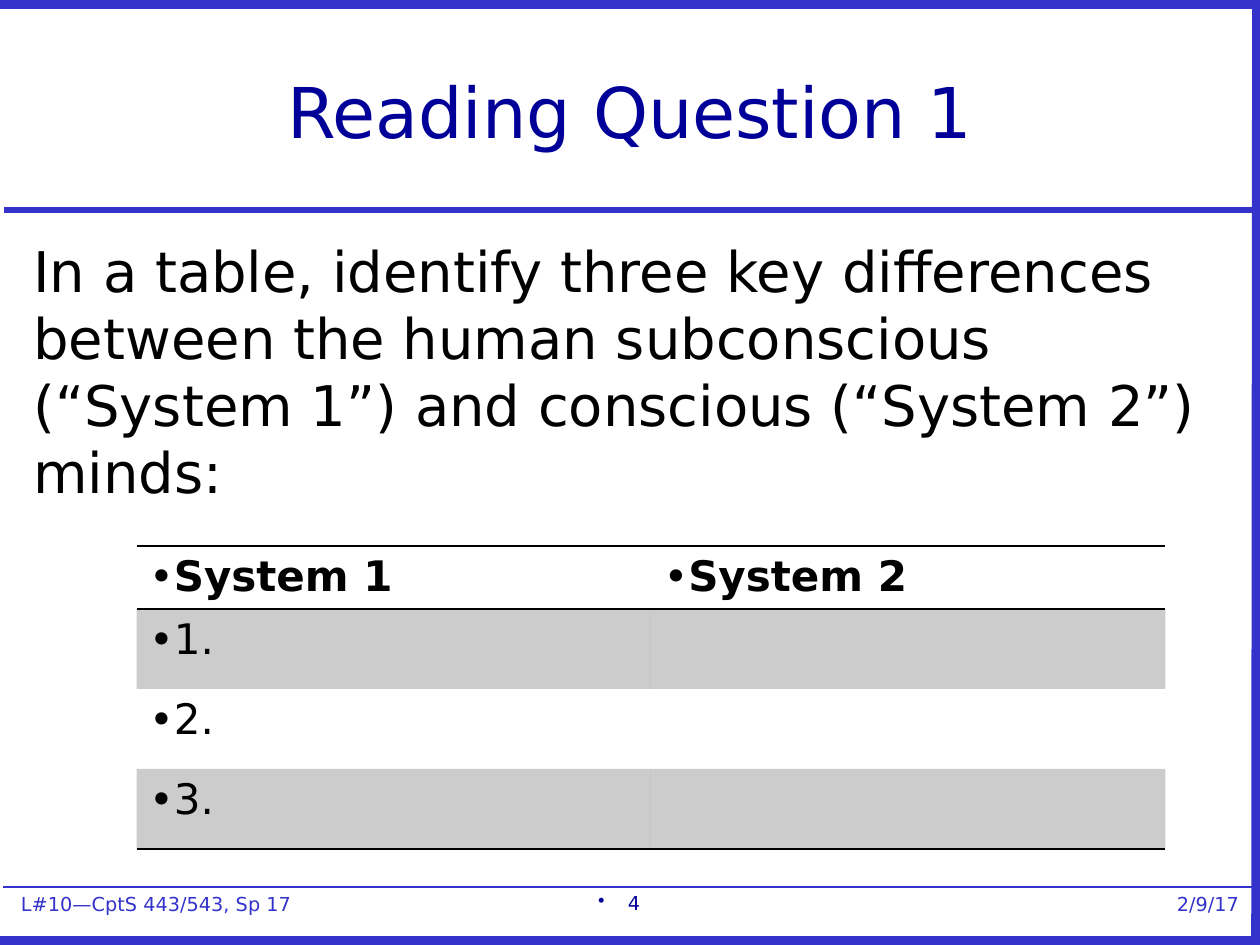
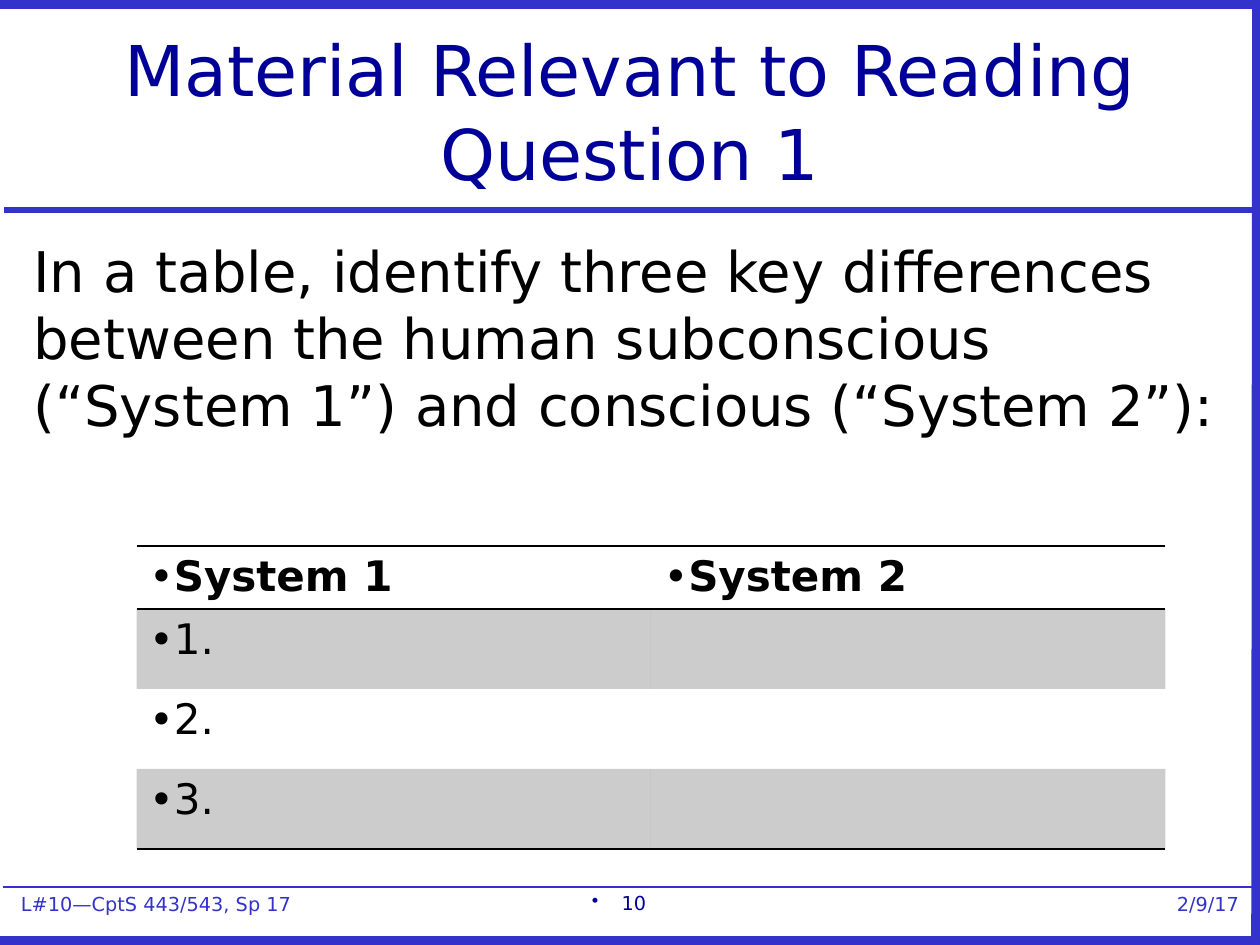
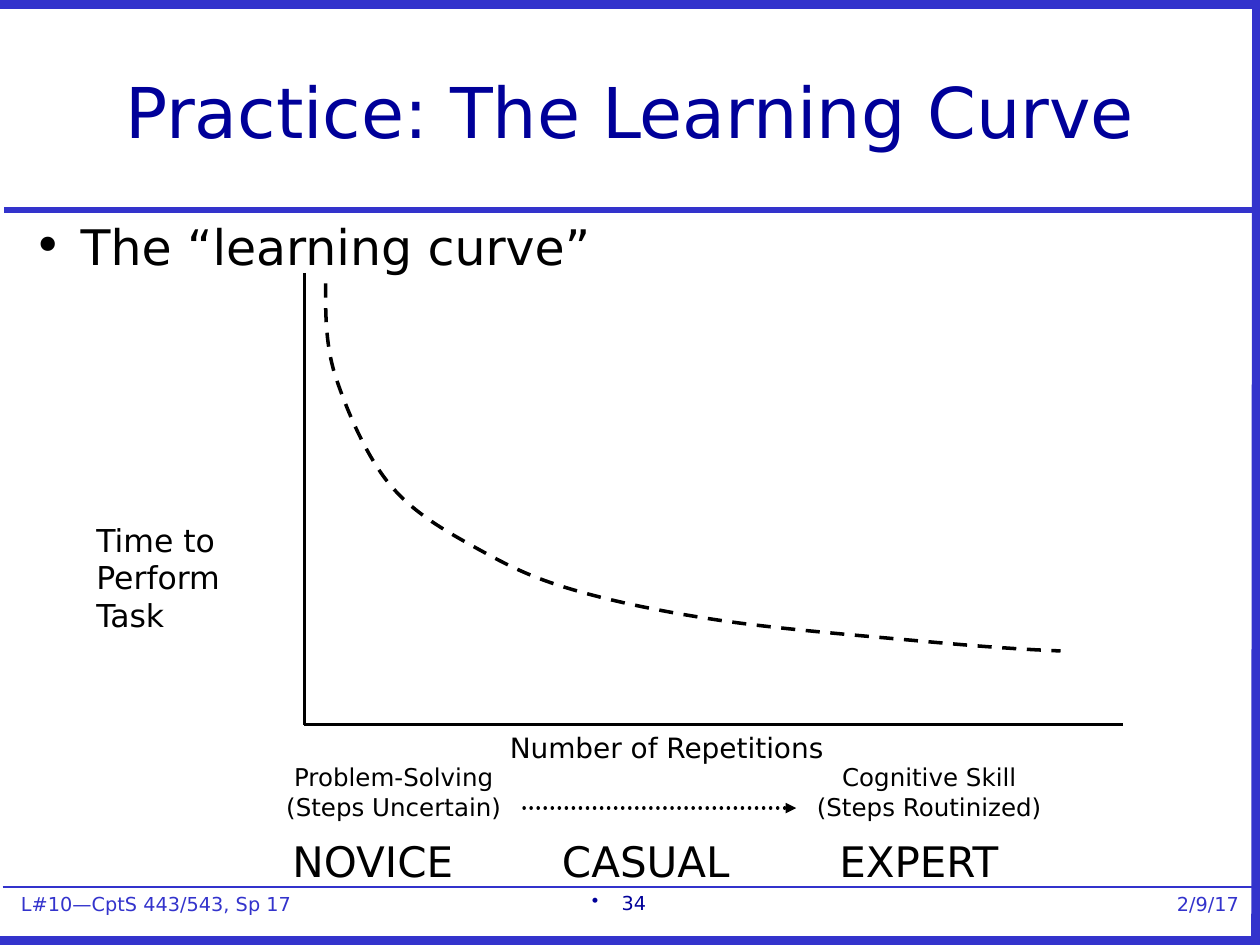
from dataclasses import dataclass

from lxml.etree import SubElement
from pptx import Presentation
from pptx.dml.color import RGBColor
from pptx.enum.dml import MSO_LINE
from pptx.enum.shapes import MSO_CONNECTOR, MSO_SHAPE
from pptx.enum.text import MSO_ANCHOR, MSO_AUTO_SIZE, PP_ALIGN
from pptx.oxml.ns import qn
from pptx.util import Pt

NO_TABLE_STYLE = "{2D5ABB26-0587-4C30-8999-92F81FD0307C}"


@dataclass(frozen=True)
class Theme:
    font: str = "DejaVu Sans"
    title: str = "000099"
    accent: str = "3333CC"
    ink: str = "000000"
    paper: str = "FFFFFF"
    band_alpha: int = 20
    title_size: int = 40
    question_size: int = 32
    bullet_size: int = 28
    large_size: int = 24
    axis_size: int = 18
    caption_size: int = 16
    note_size: int = 14
    footer_size: int = 11


def rgb(color):
    return RGBColor.from_string(color)


def points(*values):
    return [Pt(v) for v in values]


class Deck:
    def __init__(self, theme):
        self.theme = theme
        self.prs = Presentation()
        self.prs.slide_width, self.prs.slide_height = points(720, 540)
        self.layout = self.prs.slide_layouts[5]
        self.s = None

    def add_slide(self, title, number):
        t = self.theme
        first = self.s is None
        self.s = self.prs.slides.add_slide(self.layout)
        if first:
            self.add_frame()
        sp = self.s.shapes.title
        sp.left, sp.top, sp.width, sp.height = points(12, 12, 696, 102)
        tf = sp.text_frame
        tf.text = title
        tf.word_wrap = True
        tf.auto_size = MSO_AUTO_SIZE.NONE
        tf.vertical_anchor = MSO_ANCHOR.MIDDLE
        self.format(tf.paragraphs[0], t.title_size, t.title, PP_ALIGN.CENTER)
        sp = self.text((18, 505.5, 684, 12), number, t.footer_size, t.title,
                       PP_ALIGN.CENTER, before=0, bullet=17, bullet_font=None)
        sp.text_frame.margin_right = Pt(19.5)

    def add_frame(self):
        t = self.theme
        items = [
            self.footer((12, 510, 180, 13), "L#10—CptS 443/543, Sp 17", PP_ALIGN.LEFT),
            self.footer((540, 510, 168, 13), "2/9/17", PP_ALIGN.RIGHT),
            self.line((2.4, 120), (718, 120), 3, t.accent),
            self.line((-1, 2), (719, 2), 6, t.accent),
            self.line((-1, 538), (719, 538), 6, t.accent),
            self.line((718, 541), (718.5, 0), 6, t.accent),
            self.line((1.5, 507), (716.5, 507), 1, t.accent),
        ]
        for item in items:
            self.layout.shapes.element.append(item.element)

    def footer(self, box, text, align):
        t = self.theme
        sp = self.s.shapes.add_shape(MSO_SHAPE.RECTANGLE, *points(*box))
        sp.shadow.inherit = False
        sp.fill.solid()
        sp.fill.fore_color.rgb = rgb(t.paper)
        sp.line.fill.background()
        tf = sp.text_frame
        tf.text = text
        tf.word_wrap = True
        tf.auto_size = MSO_AUTO_SIZE.SHAPE_TO_FIT_TEXT
        tf.vertical_anchor = MSO_ANCHOR.TOP
        tf.margin_left = tf.margin_top = tf.margin_right = tf.margin_bottom = 0
        self.format(tf.paragraphs[0], t.footer_size, t.accent, align)
        return sp

    def format(self, p, size, color, align=PP_ALIGN.LEFT, bold=False, before=0,
               bullet=None, bullet_font=Theme.font):
        p.alignment = align
        pPr = p._p.get_or_add_pPr()
        if before:
            spc = SubElement(pPr, qn("a:spcBef"))
            SubElement(spc, qn("a:spcPct"), val=str(before * 1000))
        if bullet is not None:
            pPr.set("marL", str(Pt(bullet)))
            pPr.set("indent", str(-Pt(bullet)))
            if bullet_font:
                SubElement(pPr, qn("a:buFont"), typeface=bullet_font)
            SubElement(pPr, qn("a:buChar"), char="•")
        for r in p.runs:
            r.font.name = self.theme.font
            r.font.size = Pt(size)
            r.font.bold = bold
            r.font.color.rgb = rgb(color)
        for br in p._p.iter(qn("a:br")):
            SubElement(br, qn("a:rPr"), sz=str(size * 100))

    def text(self, box, text, size, color=None, align=PP_ALIGN.LEFT,
             before=20, bullet=None, bullet_font=Theme.font, grow=False):
        sp = self.s.shapes.add_textbox(*points(*box))
        tf = sp.text_frame
        tf.word_wrap = True
        tf.auto_size = MSO_AUTO_SIZE.SHAPE_TO_FIT_TEXT if grow else MSO_AUTO_SIZE.NONE
        p = tf.paragraphs[0]
        p.text = text
        self.format(p, size, color or self.theme.ink, align, before=before,
                    bullet=bullet, bullet_font=bullet_font)
        return sp

    def label(self, box, text, size, align=PP_ALIGN.CENTER):
        return self.text(box, text, size, align=align, grow=True)

    def line(self, start, end, width, color=None, dash=None, arrow=False):
        c = self.s.shapes.add_connector(MSO_CONNECTOR.STRAIGHT, *points(*start, *end))
        c.line.color.rgb = rgb(color or self.theme.ink)
        c.line.width = Pt(width)
        if dash:
            c.line.dash_style = dash
        spPr = c.element.spPr
        if arrow:
            ln = spPr.find(qn("a:ln"))
            ln.set("cap", "rnd")
            SubElement(ln, qn("a:tailEnd"), type="triangle")
        SubElement(spPr, qn("a:effectLst"))
        return c

    def curve(self, start, bends, width, dash):
        builder = self.s.shapes.build_freeform(*start, scale=Pt(1))
        builder.add_line_segments([pt for bend in bends for pt in bend], close=False)
        sp = builder.convert_to_shape()
        sp.shadow.inherit = False
        sp.fill.background()
        sp.line.color.rgb = rgb(self.theme.ink)
        sp.line.width = Pt(width)
        sp.line.dash_style = dash
        segments = list(sp.element.iter(qn("a:lnTo")))
        outline = segments[0].getparent()
        for i in range(0, len(segments), 3):
            bezier = SubElement(outline, qn("a:cubicBezTo"))
            for segment in segments[i:i + 3]:
                bezier.append(segment[0])
                outline.remove(segment)

    def table(self, left, top, col_width, heights, rows):
        t = self.theme
        cols = len(rows[0])
        frame = self.s.shapes.add_table(
            len(rows), cols, *points(left, top, col_width * cols, sum(heights)))
        table = frame.table
        table.first_row = table.horz_banding = False
        for style in frame.element.iter(qn("a:tableStyleId")):
            style.text = NO_TABLE_STYLE
        for col in table.columns:
            col.width = Pt(col_width)
        for i, (row, height) in enumerate(zip(rows, heights)):
            table.rows[i].height = Pt(height)
            for j, text in enumerate(row):
                cell = table.cell(i, j)
                self.fill_cell(cell, banded=i % 2 == 1)
                if i in (0, len(rows) - 1):
                    self.border(cell, "a:lnB")
                if i == 0:
                    self.border(cell, "a:lnT")
                if text:
                    cell.text_frame.text = text
                    self.format(cell.text_frame.paragraphs[0], t.large_size, t.ink,
                                bold=i == 0, before=20, bullet=0)

    def fill_cell(self, cell, banded):
        if not banded:
            cell.fill.background()
            return
        cell.fill.solid()
        cell.fill.fore_color.rgb = rgb(self.theme.ink)
        for color in cell._tc.tcPr.iter(qn("a:srgbClr")):
            SubElement(color, qn("a:alpha"), val=str(self.theme.band_alpha * 1000))

    def border(self, cell, side):
        tcPr = cell._tc.get_or_add_tcPr()
        ln = SubElement(tcPr, qn(side), w=str(Pt(1)))
        fill = SubElement(ln, qn("a:solidFill"))
        SubElement(fill, qn("a:srgbClr"), val=self.theme.ink)
        tcPr.insert(0, ln)


def add_question(deck, title, number, question):
    deck.add_slide(title, number)
    deck.text((12, 131.5, 696, 366), question, deck.theme.question_size)
    rows = [("System 1", "System 2"), ("1.", ""), ("2.", ""), ("3.", "")]
    deck.table(78, 312, 294, [36] + [45.7] * 3, rows)


def add_learning_curve(deck):
    t = deck.theme
    deck.add_slide("Practice: The Learning Curve", "34")
    deck.text((12, 120, 696, 366), "The “learning curve”", t.bullet_size, bullet=27)

    origin = (174, 414)
    deck.line((174, 156), origin, 2.25)
    deck.line(origin, (642, 414), 2.25)
    deck.label((48, 294, 114, 72), "Time to Perform Task", t.axis_size, PP_ALIGN.LEFT)
    deck.label((78, 414, 606, 27), "Number of Repetitions", t.caption_size)

    deck.label((144, 432, 162, 41), "Problem-Solving\n(Steps Uncertain)", t.note_size)
    deck.line((299.5, 461.75), (455, 461.75), 2, dash=MSO_LINE.ROUND_DOT, arrow=True)
    deck.label((450, 432, 162, 41), "Cognitive Skill\n(Steps Routinized)", t.note_size)
    for i, stage in enumerate(["NOVICE", "CASUAL", "EXPERT"]):
        deck.label((150 + 156 * i, 474, 126, 36), stage, t.large_size)

    bends = [
        [(186, 179.5), (186, 197.5), (192, 216)],
        [(198, 234.5), (209, 260), (222, 276)],
        [(235, 292), (252.5, 301.5), (270, 312)],
        [(287.5, 322), (301, 329), (324, 336)],
        [(347, 343), (375, 349), (408, 354)],
        [(440.5, 359), (489, 363), (522, 366)],
        [(555, 369), (580, 371), (606, 372)],
    ]
    deck.curve((186, 162), bends, 2, MSO_LINE.DASH)


def main():
    deck = Deck(Theme())
    question = ("In a table, identify three key differences between the human "
                "subconscious (“System 1”) and conscious (“System 2”)")
    add_question(deck, "Reading Question 1", "4", question + " minds:")
    add_question(deck, "Material Relevant to Reading Question 1", "10", question + ":")
    add_learning_curve(deck)
    deck.prs.save("out.pptx")


if __name__ == "__main__":
    main()
